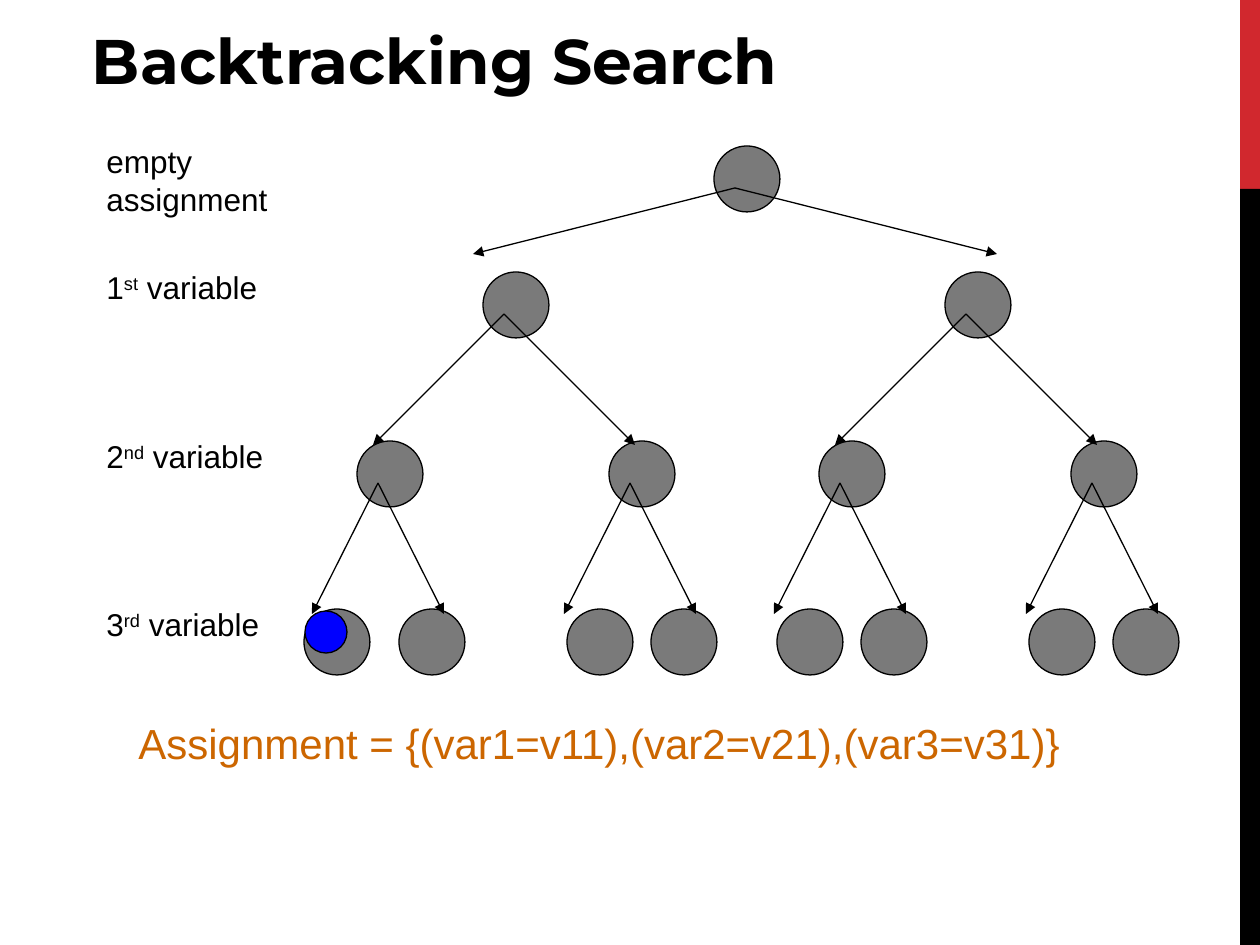
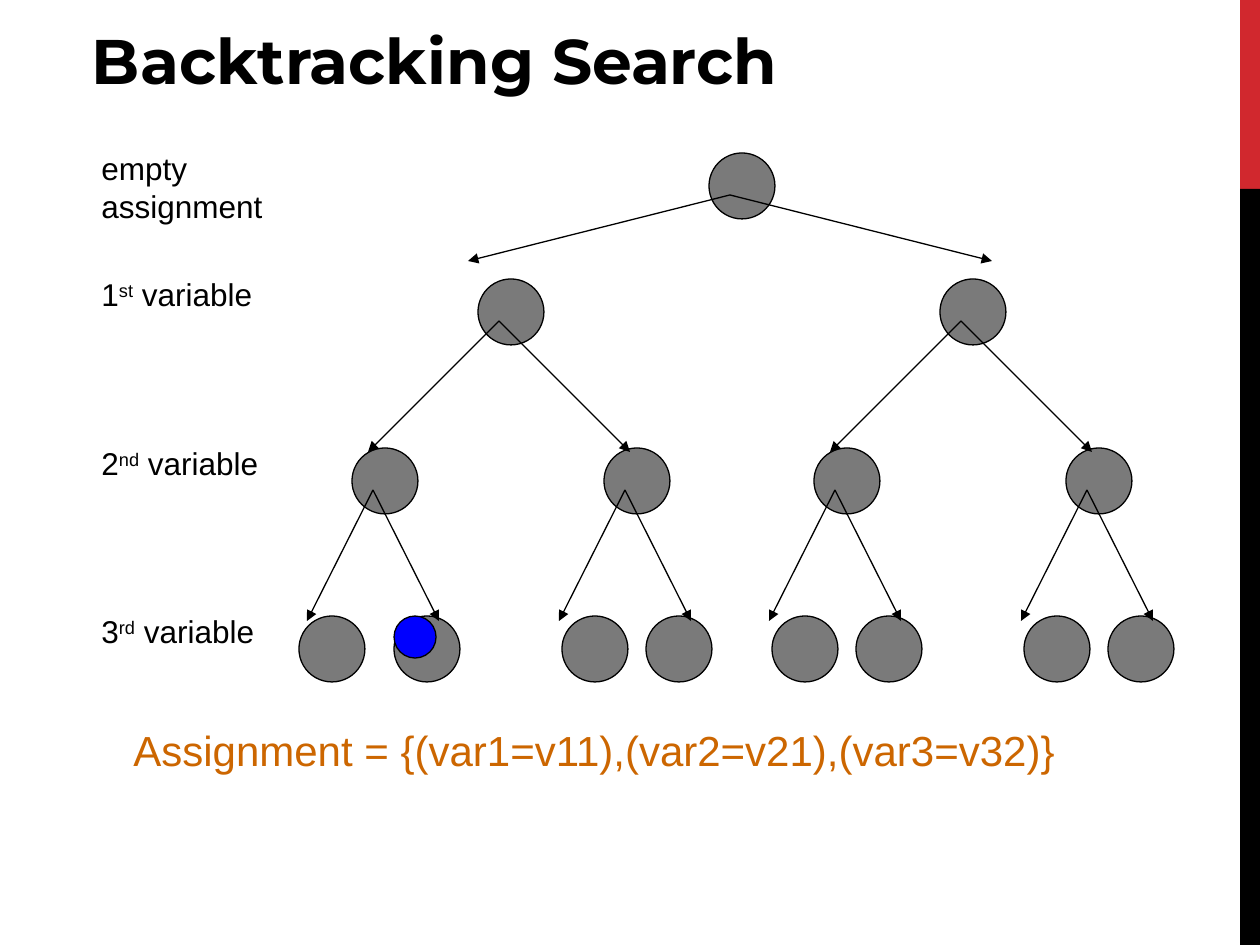
from pptx import Presentation
from pptx import util as u
from pptx.dml.color import RGBColor
from pptx.enum import shapes, text
from pptx.oxml.ns import qn
from lxml import etree

PX = u.Inches(1) / 126
SLIDE_W, SLIDE_H = 1260, 945
BAND_W, RED_H = 20, 189

BLACK = RGBColor(0x00, 0x00, 0x00)
RED = RGBColor(0xD1, 0x28, 0x2E)
GRAY = RGBColor(0x7A, 0x7A, 0x7A)
BLUE = RGBColor(0x00, 0x00, 0xFF)
ORANGE = RGBColor(0xCC, 0x66, 0x00)

TITLE = dict(size=u.Pt(36), name="Montserrat", bold=True)
LABEL = dict(size=u.Pt(18), name="Arial")
RESULT = dict(size=u.Pt(24), name="Arial")

NODE, MARKER, LABEL_H = 66, 42, 66
EDGE_START = (21, 42)
# Each level: top, left of every node, (dx, dy) of the arrows to its children
LEVELS = [
    (10, [620], (262, 66)),
    (136, [389, 851], (131, 131)),
    (305, [263, 515, 725, 977], (66, 131)),
    (473, [210, 305, 473, 557, 683, 767, 935, 1019], None),
]
# Each label: width, runs as (text, is superscript)
LABELS = [(262, [("empty assignment", False)])] + [
    (197, [(number, False), (suffix, True), (" variable", False)])
    for number, suffix in (("1", "st"), ("2", "nd"), ("3", "rd"))]


def px(*lengths):
    return [round(n * PX) for n in lengths]


def add_filled(parent, kind, box, fill, outlined=False):
    sp = parent.shapes.add_shape(kind, *px(*box))
    sp.shadow.inherit = False
    sp.fill.solid()
    sp.fill.fore_color.rgb = fill
    if outlined:
        sp.line.color.rgb = BLACK
        sp.line.width = u.Pt(0.75)
    else:
        sp.line.fill.background()
    return sp


def add_arrow(parent, x, y, dx, dy):
    line = parent.shapes.add_connector(
        shapes.MSO_CONNECTOR.STRAIGHT, *px(x, y, x + dx, y + dy))
    line.line.color.rgb = BLACK
    line.line.width = u.Pt(0.75)
    etree.SubElement(line.line._get_or_add_ln(), qn("a:tailEnd"), type="triangle")
    etree.SubElement(line._element.spPr, qn("a:effectLst"))


def add_text(parent, box, runs, style, color):
    """Add a text box; runs are (text, is superscript) pairs."""
    tf = parent.shapes.add_textbox(*px(*box)).text_frame
    tf.word_wrap = True
    p = tf.paragraphs[0]
    for words, raised in runs:
        r = p.add_run()
        r.text = words
        for key, value in style.items():
            setattr(r.font, key, value)
        r.font.color.rgb = color
        if raised:
            r.font._element.set("baseline", "30000")
    return tf


def add_frame(s, title):
    """Add the side band and the title that all slides share."""
    left = SLIDE_W - BAND_W
    for top, height, color in ((0, RED_H, RED), (RED_H, SLIDE_H - RED_H, BLACK)):
        add_filled(s, shapes.MSO_SHAPE.RECTANGLE, (left, top, BAND_W, height), color)
    tf = add_text(s, (63, 21, 1106, 83), [(title, False)], TITLE, BLACK)
    tf.vertical_anchor = text.MSO_ANCHOR.BOTTOM
    tf.margin_left = px(29)[0]
    tf.paragraphs[0].line_spacing = 0.9


def add_tree(s, x, y):
    tree = s.shapes.add_group_shape()
    for top, lefts, _ in LEVELS:
        for left in lefts:
            add_filled(tree, shapes.MSO_SHAPE.OVAL,
                       (x + left, y + top, NODE, NODE), GRAY, outlined=True)
    for top, lefts, step in LEVELS[:-1]:
        for left in lefts:
            for side in (-1, 1):
                add_arrow(tree, x + left + EDGE_START[0], y + top + EDGE_START[1],
                          side * step[0], step[1])
    for (top, _, _), (width, runs) in zip(LEVELS, LABELS):
        add_text(tree, (x, y + top - 10, width, LABEL_H), runs, LABEL, BLACK)


def add_search_slide(prs, origin, leaf, nudge, assignment):
    """Draw the tree at origin, mark one leaf and state its assignment."""
    s = prs.slides.add_slide(prs.slide_layouts[6])
    x, y = origin
    add_frame(s, "Backtracking Search")
    add_tree(s, x, y)
    top, lefts, _ = LEVELS[-1]
    add_filled(s, shapes.MSO_SHAPE.OVAL,
               (x + lefts[leaf] + nudge[0], y + top + nudge[1], MARKER, MARKER),
               BLUE, outlined=True)
    add_text(s, (x + 32, y + 575, 995, 63), [(assignment, False)], RESULT, ORANGE)


def main():
    prs = Presentation()
    prs.slide_width, prs.slide_height = px(SLIDE_W, SLIDE_H)
    add_search_slide(prs, (94, 136), 0, (1, 2),
                     "Assignment = {(var1=v11),(var2=v21),(var3=v31)}")
    add_search_slide(prs, (89, 143), 1, (0, 0),
                     "Assignment = {(var1=v11),(var2=v21),(var3=v32)}")
    prs.save("out.pptx")


if __name__ == "__main__":
    main()
